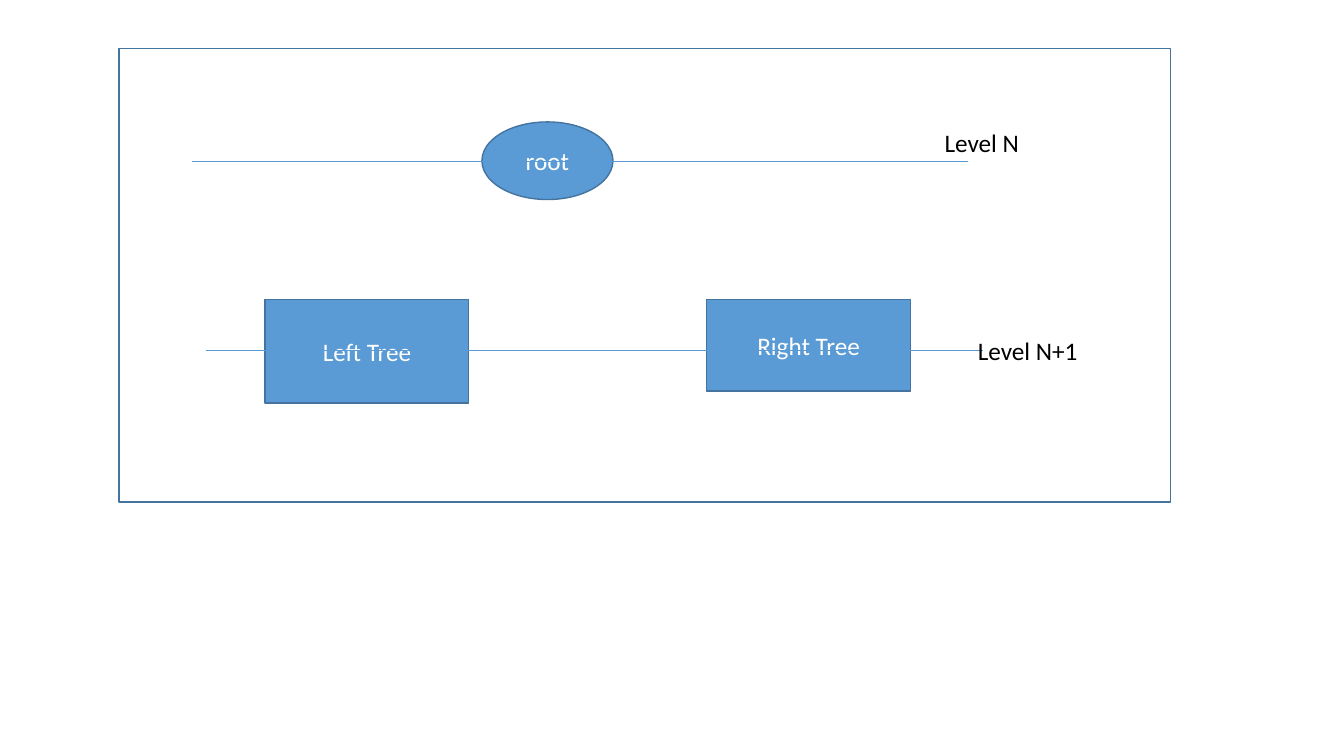
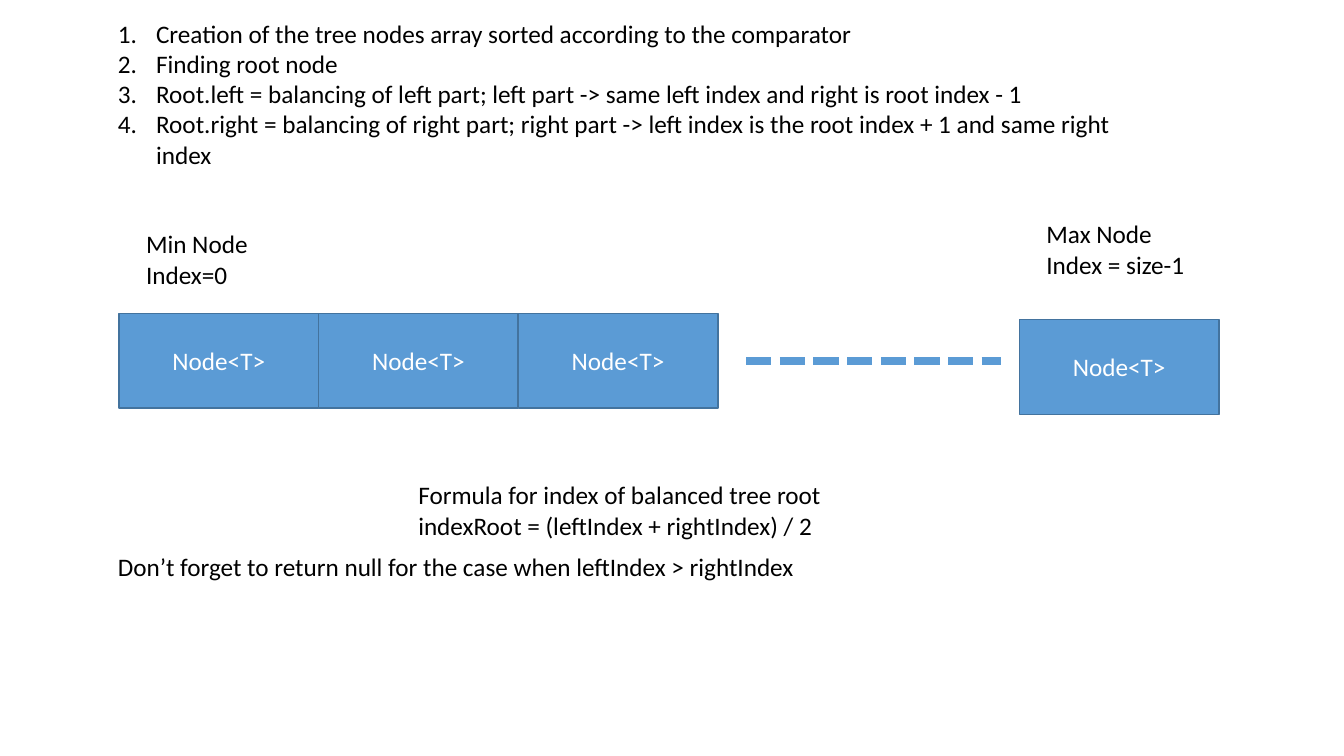
from lxml.etree import SubElement
from pptx import Presentation
from pptx.dml.color import RGBColor
from pptx.enum.dml import MSO_LINE as Dash
from pptx.enum.shapes import MSO_CONNECTOR as Connector, MSO_SHAPE as Preset
from pptx.enum.text import MSO_ANCHOR as Anchor, MSO_AUTO_SIZE as AutoSize, PP_ALIGN as Align
from pptx.oxml.ns import qn
from pptx.util import Emu, Pt

EMU_PER_PX = 9144
BLUE, EDGE, WHITE, BLACK = "5B9BD5", "43739E", "FFFFFF", "000000"
FONT = {"name": "Calibri", "size": Pt(18)}
LABEL_FRAME = {"word_wrap": True, "auto_size": AutoSize.SHAPE_TO_FIT_TEXT}
NODE_FRAME = {"word_wrap": True, "vertical_anchor": Anchor.MIDDLE}
STEPS = [
    "Creation of the tree nodes array sorted according to the comparator",
    "Finding root node",
    "Root.left = balancing of left part; left part -> same left index and right is root index - 1",
    "Root.right = balancing of right part; right part -> left index is the root index + 1 and same right index",
]


def px(length):
    """Turn px into EMU."""
    return Emu(length * EMU_PER_PX)


def color(code):
    """Turn a hex string into a colour."""
    return RGBColor.from_string(code)


def apply(target, values):
    """Set attributes from a dict of format values."""
    for name, value in values.items():
        setattr(target, name, value)


def write(frame, lines, ink, align=None):
    """Write each line as a paragraph."""
    for index, line in enumerate(lines):
        para = frame.paragraphs[0] if index == 0 else frame.add_paragraph()
        if align is not None:
            para.alignment = align
        span = para.add_run()
        span.text = line
        apply(span.font, FONT)
        span.font.color.rgb = color(ink)


def add_node(page, box, text=None, preset=Preset.RECTANGLE):
    """Add a filled node, or a bare outline when it has no text."""
    node = page.shapes.add_shape(preset, *map(px, box))
    node.shadow.inherit = False
    node.line.color.rgb = color(EDGE)
    node.line.width = Pt(1)
    if text is None:
        node.fill.background()
        return
    node.fill.solid()
    node.fill.fore_color.rgb = color(BLUE)
    apply(node.text_frame, NODE_FRAME)
    write(node.text_frame, [text], WHITE, Align.CENTER)


def add_rule(page, left, top, length, points, dash=None):
    """Add a horizontal line."""
    ends = map(px, (left, top, left + length, top))
    rule = page.shapes.add_connector(Connector.STRAIGHT, *ends)
    rule.line.color.rgb = color(BLUE)
    apply(rule.line, {"width": Pt(points), "dash_style": dash})
    SubElement(rule._element.spPr, qn("a:effectLst"))


def add_label(page, box, *lines):
    """Add a black text box and return its frame."""
    frame = page.shapes.add_textbox(*map(px, box)).text_frame
    apply(frame, LABEL_FRAME)
    write(frame, lines, BLACK)
    return frame


def add_steps(page, box):
    """Add the numbered steps."""
    for para in add_label(page, box, *STEPS).paragraphs:
        props = para._p.get_or_add_pPr()
        props.set("marL", str(px(38)))
        props.set("indent", str(px(-38)))
        SubElement(props, qn("a:buFont")).set("typeface", "+mj-lt")
        SubElement(props, qn("a:buAutoNum")).set("type", "arabicPeriod")


def add_tree(page, box):
    """Add the framed tree with its two levels."""
    left, top, width, height = box
    add_node(page, (left + 360, top + 73, 130, 77), "root", Preset.OVAL)
    add_node(page, (left + 145, top + 249, 202, 103), "Left Tree")
    add_node(page, (left + 583, top + 249, 202, 91), "Right Tree")
    add_rule(page, left + 72, top + 112, 770, 0.5)
    add_rule(page, left + 86, top + 300, 771, 0.5)
    add_node(page, box)
    add_label(page, (left + 809, top + 73, 176, 40), "Level N")
    add_label(page, (left + 842, top + 280, 176, 40), "Level N+1")


def add_array(page, box):
    """Add the node array with its end labels."""
    left, top, width, height = box
    node_width, node_height = 198, 94
    last = left + width - node_width
    spots = [(left + index * node_width, top + 99) for index in range(3)]
    spots.append((last, top + height - node_height))
    for spot in spots:
        add_node(page, (*spot, node_width, node_height), "Node<T>")
    add_rule(page, left + 622, top + 146, 253, 6, Dash.SQUARE_DOT)
    add_label(page, (left + 17, top + 10, 165, 71), "Min Node", "Index=0")
    add_label(page, (last + 17, top, 165, 71), "Max Node", "Index = size-1")


def build_tree_page(page):
    """Build the slide on tree levels."""
    add_tree(page, (118, 48, 1043, 450))


def build_balance_page(page):
    """Build the slide on balancing."""
    add_array(page, (118, 212, 1091, 199))
    add_steps(page, (107, 13, 1053, 192))
    add_label(page, (405, 471, 532, 71), "Formula for index of balanced tree root",
              "indexRoot = (leftIndex + rightIndex) / 2")
    add_label(page, (107, 542, 1053, 40),
              "Don’t forget to return null for the case when leftIndex > rightIndex")


def main():
    """Build and save the deck."""
    deck = Presentation()
    apply(deck, {"slide_width": px(1333), "slide_height": px(750)})
    for build in (build_tree_page, build_balance_page):
        build(deck.slides.add_slide(deck.slide_layouts[6]))
    deck.save("out.pptx")


if __name__ == "__main__":
    main()
